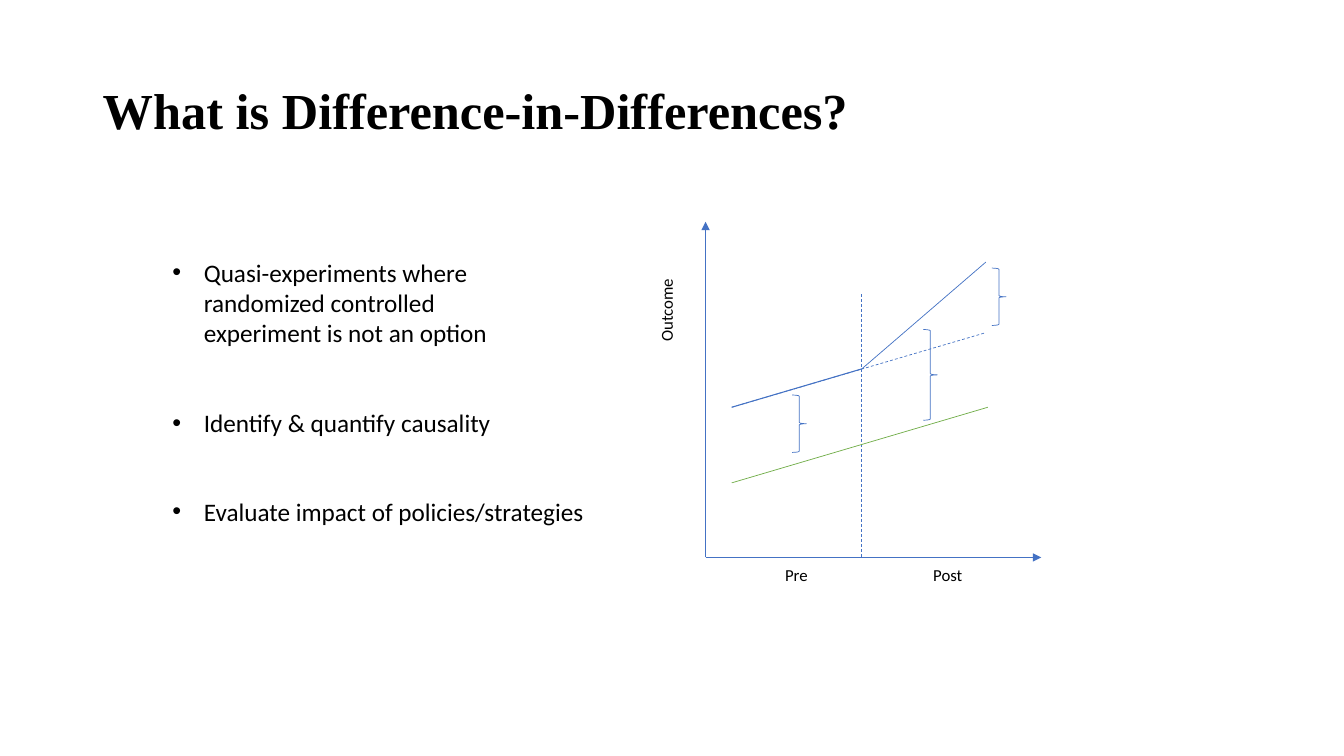
from dataclasses import dataclass

from lxml import etree
from pptx import Presentation
from pptx.dml.color import RGBColor
from pptx.enum.dml import MSO_LINE
from pptx.enum.shapes import MSO_CONNECTOR, MSO_SHAPE
from pptx.enum.text import MSO_ANCHOR, MSO_AUTO_SIZE, PP_ALIGN
from pptx.oxml.ns import qn
from pptx.util import Pt

DASH = MSO_LINE.DASH
STRAIGHT = MSO_CONNECTOR.STRAIGHT
BRACE = MSO_SHAPE.RIGHT_BRACE
TOP, MIDDLE = MSO_ANCHOR.TOP, MSO_ANCHOR.MIDDLE
LEFT = PP_ALIGN.LEFT
NO_FIT = MSO_AUTO_SIZE.NONE

BLUE, GREEN, BLACK = "4472C4", "70AD47", "000000"
SANS, SERIF = "Calibri", "Times New Roman"
THIN = 0.5
INDENT = 22.5

# Shared points of the diagram
ROOT_X, ROOT_Y = 504, 398.2
START_X, END_X = 522.7, 704.2
BREAK_X, BREAK_Y = 615.6, 263.5
TREAT_Y, CTRL_Y = 290.9, 344.9


@dataclass
class Line:
    x1: float
    y1: float
    x2: float
    y2: float
    color: str = BLUE
    width: float = THIN
    dashed: bool = False
    arrow: bool = False


@dataclass
class Box:
    left: float
    top: float
    width: float
    height: float
    text: str = ""
    upward: bool = False


LINES = [
    Line(ROOT_X, ROOT_Y, 743.8, ROOT_Y, arrow=True),
    Line(ROOT_X, ROOT_Y, ROOT_X, 158.4, arrow=True),
    Line(BREAK_X, 210.2, BREAK_X, ROOT_Y, dashed=True),
    Line(START_X, TREAT_Y, END_X, 237.6, dashed=True),
    Line(START_X, TREAT_Y, BREAK_X, BREAK_Y, width=0.75),
    Line(BREAK_X, BREAK_Y, END_X, 187.2),
    Line(START_X, CTRL_Y, 705.6, TREAT_Y, GREEN),
]
LABELS = [
    Box(465.1, 198.7, 28.8, 52.6, "Outcome", upward=True),
    Box(553.7, 399.6, 31, 21.6, "Pre"),
    Box(659.5, 399.6, 36, 21.6, "Post"),
]
BRACES = [
    Box(565.9, 282.2, 10.1, 41),
    Box(708.5, 191.5, 10.1, 41),
    Box(659.5, 235.4, 10.1, 64.8),
]
ITEMS = [
    Box(115.9, 180, 262.1, 72.7,
        "Quasi-experiments where randomized controlled experiment is not an option"),
    Box(115.9, 287.3, 244.8, 28.8, "Identify & quantify causality"),
    Box(115.9, 350.6, 311.8, 28.8, "Evaluate impact of policies/strategies"),
]


def rgb(code: str) -> RGBColor:
    return RGBColor.from_string(code)


def place(shape, box: Box) -> None:
    shape.left, shape.top = Pt(box.left), Pt(box.top)
    shape.width, shape.height = Pt(box.width), Pt(box.height)


def write(para, text: str, size: float, face: str = SANS, bold: bool = False) -> None:
    run = para.add_run()
    run.text = text
    font = run.font
    font.name, font.size, font.bold = face, Pt(size), bold
    font.color.rgb = rgb(BLACK)


def fill_holder(holder, box: Box, anchor):
    """Move a placeholder and return its first paragraph, left aligned."""
    place(holder, box)
    frame = holder.text_frame
    frame.auto_size = NO_FIT
    frame.word_wrap = True
    frame.vertical_anchor = anchor
    para = frame.paragraphs[0]
    para.alignment = LEFT
    para.space_before = Pt(0)
    return para


def add_title(holder) -> None:
    box = Box(66.2, 28.8, 828, 104.4, "What is Difference-in-Differences?")
    para = fill_holder(holder, box, MIDDLE)
    para.line_spacing = 0.9
    write(para, box.text, 36, SERIF, bold=True)


def add_item(holder, item: Box) -> None:
    para = fill_holder(holder, item, TOP)
    props = para._p.get_or_add_pPr()
    props.set("marL", str(Pt(INDENT)))
    props.set("indent", str(-Pt(INDENT)))
    etree.SubElement(props, qn("a:buFont")).set("typeface", "Arial")
    etree.SubElement(props, qn("a:buChar")).set("char", "•")
    write(para, item.text, 18)


def add_line(shapes, line: Line) -> None:
    link = shapes.add_connector(
        STRAIGHT, Pt(line.x1), Pt(line.y1), Pt(line.x2), Pt(line.y2))
    link.line.color.rgb = rgb(line.color)
    link.line.width = Pt(line.width)
    if line.dashed:
        link.line.dash_style = DASH
    if line.arrow:
        stroke = link.line._get_or_add_ln()
        etree.SubElement(stroke, qn("a:tailEnd")).set("type", "triangle")
    etree.SubElement(link._element.spPr, qn("a:effectLst"))


def add_label(shapes, label: Box) -> None:
    shape = shapes.add_textbox(0, 0, 0, 0)
    place(shape, label)
    frame = shape.text_frame
    frame.word_wrap = False
    if label.upward:
        frame._txBody.bodyPr.set("vert", "vert270")
    write(frame.paragraphs[0], label.text, 12)


def add_brace(shapes, box: Box) -> None:
    brace = shapes.add_shape(BRACE, 0, 0, 0, 0)
    place(brace, box)
    brace.shadow.inherit = False
    brace.fill.background()
    brace.line.color.rgb = rgb(BLUE)
    brace.line.width = Pt(THIN)


def main() -> None:
    deck = Presentation()
    deck.slide_width, deck.slide_height = Pt(960), Pt(540)
    # The comparison layout holds a title and four body placeholders
    slide = deck.slides.add_slide(deck.slide_layouts[4])
    shapes = slide.shapes
    title, *bodies = list(slide.placeholders)
    add_title(title)
    for body, item in zip(bodies, ITEMS):
        add_item(body, item)
    for spare in bodies[len(ITEMS):]:
        spare._element.getparent().remove(spare._element)
    for line in LINES:
        add_line(shapes, line)
    for label in LABELS:
        add_label(shapes, label)
    for brace in BRACES:
        add_brace(shapes, brace)
    deck.save("out.pptx")


if __name__ == "__main__":
    main()
